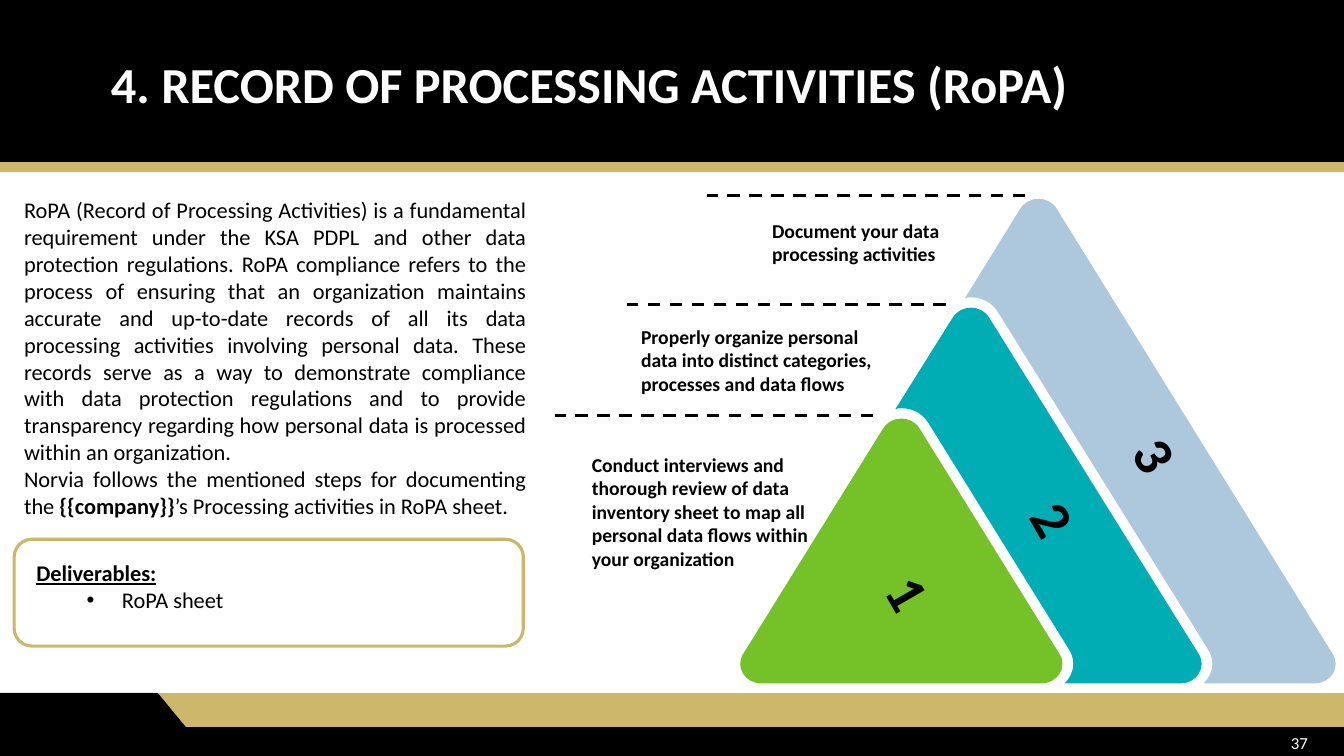
from dataclasses import dataclass

from lxml.etree import SubElement
from pptx import Presentation
from pptx.dml.color import RGBColor
from pptx.enum.dml import MSO_LINE
from pptx.enum.shapes import MSO_CONNECTOR, MSO_SHAPE
from pptx.enum.text import MSO_ANCHOR, MSO_AUTO_SIZE, PP_ALIGN
from pptx.oxml.ns import qn
from pptx.util import Emu, Inches, Pt

PX = 9144  # 100 px to the inch
FONT = "Calibri"
BLACK = RGBColor(0x00, 0x00, 0x00)
WHITE = RGBColor(0xFF, 0xFF, 0xFF)
GOLD = RGBColor(0xCC, 0xB7, 0x6A)
GREEN = RGBColor(0x74, 0xC2, 0x27)
TEAL = RGBColor(0x00, 0xAD, 0xB5)
PALE_BLUE = RGBColor(0xAD, 0xC8, 0xDD)
BASE_Y, CORNER_Y = 678, 649
TIP_WIDTH = 36
DASH_LENGTH = 316
LABEL_INDENT = 50

Point = tuple[int, int]
Segment = tuple[Point, ...]  # one point for a line, three for a Bezier curve


@dataclass(frozen=True)
class Box:
    x: int
    y: int
    w: int
    h: int


@dataclass(frozen=True)
class Run:
    text: str
    bold: bool = False
    underline: bool = False


@dataclass(frozen=True)
class Step:
    """One layer of the triangle; the tip is the left end of its rounded top."""
    number: str
    color: RGBColor
    tip_x: int
    tip_y: int
    right: int
    number_box: Box
    dash_end: int
    label: str
    label_box: Box
    label_inset: bool = True


STEPS = [
    Step("1", GREEN, 876, 425, 1051, Box(888, 554, 28, 67), 866,
         "Conduct interviews and thorough review of data inventory sheet to map all "
         "personal data flows within your organization", Box(537, 449, 293, 118), False),
    Step("2", TEAL, 945, 315, 1189, Box(1032, 481, 28, 67), 938,
         "Properly organize personal data into distinct categories, processes and data flows",
         Box(576, 317, 316, 81)),
    Step("3", PALE_BLUE, 1012, 207, 1322, Box(1133, 418, 28, 67), 1017,
         "Document your data processing activities", Box(706, 212, 273, 57)),
]
INTRO = [
    [Run("RoPA (Record of Processing Activities) is a fundamental requirement under the KSA "
         "PDPL and other data protection regulations. RoPA compliance refers to the process of "
         "ensuring that an organization maintains accurate and up-to-date records of all its "
         "data processing activities involving personal data. These records serve as a way to "
         "demonstrate compliance with data protection regulations and to provide transparency "
         "regarding how personal data is processed within an organization.")],
    [Run("Norvia follows the mentioned steps for documenting the "),
     Run("{{company}}", bold=True),
     Run("’s Processing activities in RoPA sheet.")],
]


def place(sp, box: Box) -> None:
    sp.left, sp.top, sp.width, sp.height = (Emu(v * PX) for v in (box.x, box.y, box.w, box.h))


def add_runs(p, runs: list[Run], size: int, color: RGBColor = BLACK) -> None:
    for run in runs:
        r = p.add_run()
        r.text = run.text
        r.font.name, r.font.size = FONT, Pt(size)
        r.font.bold, r.font.underline = run.bold, run.underline
        r.font.color.rgb = color


def set_indent(p, margin: int, hanging: int = 0, bullet: str = "") -> None:
    pPr = p._p.get_or_add_pPr()
    pPr.set("marL", str(margin * PX))
    pPr.set("indent", str(-hanging * PX))
    if bullet:
        SubElement(pPr, qn("a:buFont")).set("typeface", "Arial")
        SubElement(pPr, qn("a:buChar")).set("char", bullet)
    else:
        SubElement(pPr, qn("a:buNone"))


def add_text(s, box: Box, paragraphs: list[list[Run]], size: int, color: RGBColor = BLACK,
             align: PP_ALIGN = PP_ALIGN.LEFT, inset: bool = True, wrap: bool = True):
    sp = s.shapes.add_textbox(0, 0, 0, 0)
    place(sp, box)
    tf = sp.text_frame
    tf.word_wrap = wrap
    if not inset:
        tf.margin_left = tf.margin_right = tf.margin_top = tf.margin_bottom = 0
    for i, runs in enumerate(paragraphs):
        p = tf.add_paragraph() if i else tf.paragraphs[0]
        p.alignment = align
        add_runs(p, runs, size, color)
    return sp


def paint(sp, color: RGBColor) -> None:
    sp.shadow.inherit = False
    sp.fill.solid()
    sp.fill.fore_color.rgb = color
    sp.line.fill.background()


def add_band(s, shape: MSO_SHAPE, box: Box, color: RGBColor) -> None:
    sp = s.shapes.add_shape(shape, 0, 0, 0, 0)
    place(sp, box)
    paint(sp, color)


def add_outline(s, start: Point, segments: list[Segment], color: RGBColor):
    """Closed freeform; each three-point segment becomes a Bezier curve."""
    builder = s.shapes.build_freeform(*start, scale=float(PX))
    builder.add_line_segments([point for segment in segments for point in segment], close=True)
    sp = builder.convert_to_shape()
    lines = iter(list(sp.element.iter(qn("a:lnTo"))))
    for segment in segments:
        group = [next(lines) for _ in segment]
        if len(group) == 3:
            bezier = SubElement(group[0].getparent(), qn("a:cubicBezTo"))
            group[0].addprevious(bezier)
            for line in group:
                bezier.append(line[0])
                line.getparent().remove(line)
    paint(sp, color)
    return sp


def layer_segments(step: Step, inner: Step | None) -> list[Segment]:
    """Rounded triangle from its right corner, cut along the inner layer if there is one."""
    x, y, right = step.tip_x, step.tip_y, step.right
    segments: list[Segment] = [((x + TIP_WIDTH, y),), ((x + 28, y - 13), (x + 8, y - 13), (x, y))]
    if inner:
        nx, ny, nr = inner.tip_x, inner.tip_y, inner.right + 9
        segments += [
            ((nx + 12, ny - 19),),
            ((nx + 14, ny - 20), (nx + 16, ny - 20), (nx + 18, ny - 20)),
            ((nx + 29, ny - 20), (nx + 39, ny - 15), (nx + 45, ny - 5)),
            ((nr, 644),),
            ((nr + 6, 653), (nr + 6, 664), (nr, 673)),
            ((nr - 1, 674), (nr - 2, 676), (nr - 4, BASE_Y)),
        ]
    else:
        segments += [((737, CORNER_Y),), ((729, 662), (739, BASE_Y), (755, BASE_Y))]
    return segments + [((right - 18, BASE_Y),),
                       ((right - 2, BASE_Y), (right + 8, 662), (right, CORNER_Y))]


def add_dash(s, end: int, y: int) -> None:
    line = s.shapes.add_connector(MSO_CONNECTOR.STRAIGHT, end * PX, y * PX,
                                  (end - DASH_LENGTH) * PX, y * PX)
    line.line.color.rgb = BLACK
    line.line.width = Pt(2.25)
    line.line.dash_style = MSO_LINE.DASH
    SubElement(line._element.spPr, qn("a:effectLst"))


def add_frame(s) -> None:
    """Header and footer bands with the page number."""
    add_band(s, MSO_SHAPE.FLOWCHART_PROCESS, Box(-2, 688, 1335, 45), GOLD)
    add_band(s, MSO_SHAPE.RECTANGLE, Box(-2, 0, 1335, 166), BLACK)
    corners = [(156, 688), (184, 722), (1333, 722), (1333, 750), (-2, 750)]
    footer = add_outline(s, (-2, 688), [(corner,) for corner in corners], BLACK)
    footer.line.color.rgb = BLACK
    footer.line.width = Pt(1)
    add_band(s, MSO_SHAPE.FLOWCHART_PROCESS, Box(-2, 161, 1335, 10), GOLD)
    number = add_text(s, Box(1007, 717, 300, 40), [[Run("37")]], 12, WHITE, PP_ALIGN.RIGHT)
    number.text_frame.vertical_anchor = MSO_ANCHOR.MIDDLE


def raise_placeholder(sp, box: Box, anchor: MSO_ANCHOR):
    """Place it in front of all other shapes and return its text frame."""
    place(sp, box)
    sp.element.getparent().append(sp.element)
    tf = sp.text_frame
    tf.auto_size, tf.word_wrap, tf.vertical_anchor = MSO_AUTO_SIZE.NONE, True, anchor
    return tf


def fill_title(s) -> None:
    p = raise_placeholder(s.shapes.title, Box(0, 9, 1333, 155), MSO_ANCHOR.MIDDLE).paragraphs[0]
    set_indent(p, 100)
    p.alignment, p.line_spacing = PP_ALIGN.LEFT, 0.9
    add_runs(p, [Run("4. RECORD OF PROCESSING ACTIVITIES (RoPA)", bold=True)], 36, WHITE)


def add_deliverables(s) -> None:
    frame = s.shapes.add_shape(MSO_SHAPE.ROUNDED_RECTANGLE, 0, 0, 0, 0)
    place(frame, Box(14, 535, 505, 106))
    frame.shadow.inherit = False
    frame.fill.background()
    frame.line.color.rgb = GOLD
    frame.line.width = Pt(2.25)
    tf = raise_placeholder(s.placeholders[1], Box(26, 550, 492, 64), MSO_ANCHOR.TOP)
    heading, item = tf.paragraphs[0], tf.add_paragraph()
    set_indent(heading, 0)
    item.level = 1
    set_indent(item, 85, 35, "•")
    heading.space_before = item.space_before = Pt(0)
    add_runs(heading, [Run("Deliverables:", bold=True, underline=True)], 16)
    add_runs(item, [Run("RoPA sheet")], 16)


def main() -> None:
    prs = Presentation()
    prs.slide_width, prs.slide_height = Inches(13.33), Inches(7.5)
    s = prs.slides.add_slide(prs.slide_layouts[1])
    add_frame(s)
    fill_title(s)
    add_text(s, Box(14, 190, 518, 333), INTRO, 16, align=PP_ALIGN.JUSTIFY)
    for step, inner in zip(STEPS, [None, *STEPS]):
        add_outline(s, (step.right, CORNER_Y), layer_segments(step, inner), step.color)
        add_dash(s, step.dash_end, step.tip_y - 13)
        label = add_text(s, step.label_box, [[Run(step.label, bold=True)]], 14,
                         inset=step.label_inset)
        set_indent(label.text_frame.paragraphs[0], LABEL_INDENT)
        number = add_text(s, step.number_box, [[Run(step.number, bold=True)]], 40,
                          inset=False, wrap=False)
        number.rotation = 60
    add_deliverables(s)
    prs.save("out.pptx")


if __name__ == "__main__":
    main()
